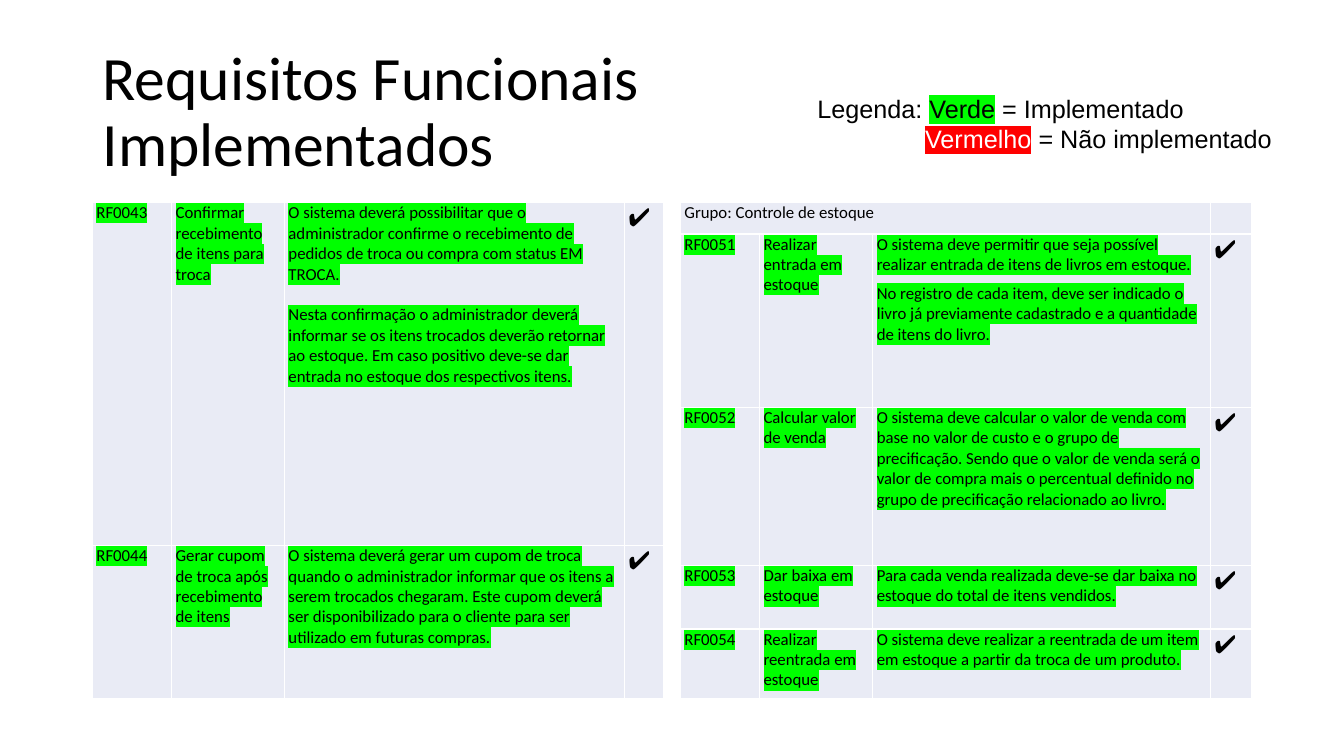
"""Build the slide of implemented functional requirements."""
from lxml.etree import SubElement
from pptx import Presentation
from pptx.dml.color import RGBColor
from pptx.enum.text import MSO_ANCHOR, PP_ALIGN
from pptx.oxml.ns import qn
from pptx.util import Pt

COLORS = {"black": "000000", "white": "FFFFFF", "green": "00FF00", "red": "FF0000", "cell": "E9EBF5"}
CHECK = "✔"


def style(paragraph, size, name, space_after=0):
    paragraph.font.size = Pt(size)
    paragraph.font.name = name
    paragraph.font.color.rgb = RGBColor.from_string(COLORS["black"])
    paragraph.space_after = Pt(space_after)


def add_run(paragraph, text, highlight=None):
    run = paragraph.add_run()
    run.text = text
    if highlight:
        mark = SubElement(run.font._element, qn("a:highlight"))
        SubElement(mark, qn("a:srgbClr"), val=COLORS[highlight])
    return run


presentation = Presentation()
presentation.slide_width, presentation.slide_height = Pt(960), Pt(540)
slide = presentation.slides.add_slide(presentation.slide_layouts[6])

title = slide.shapes.add_textbox(Pt(66.2), Pt(28.8), Pt(828), Pt(104.4)).text_frame
title.word_wrap = True
title.vertical_anchor = MSO_ANCHOR.MIDDLE
paragraph = title.paragraphs[0]
paragraph.line_spacing = 0.9
style(paragraph, 44, "Calibri")
add_run(paragraph, "Requisitos Funcionais")
paragraph.add_line_break()
add_run(paragraph, "Implementados")

legend = slide.shapes.add_textbox(Pt(576.7), Pt(41), Pt(347.8), Pt(94.3)).text_frame
legend.word_wrap = True
legend.margin_top = Pt(25.5)
legend_lines = [
    ("Legenda: ", "Verde", "green", "black", " = Implementado", 0),
    ("", "Vermelho", "red", "white", " = Não implementado", 77),
]
for index, (label, word, highlight, color, meaning, indent) in enumerate(legend_lines):
    paragraph = legend.add_paragraph() if index else legend.paragraphs[0]
    paragraph.alignment = PP_ALIGN.JUSTIFY
    paragraph._p.get_or_add_pPr().set("marL", str(Pt(indent)))
    style(paragraph, 18, "Arial")
    if label:
        add_run(paragraph, label)
    run = add_run(paragraph, word, highlight)
    run.font.color.rgb = RGBColor.from_string(COLORS[color])
    add_run(paragraph, meaning)

exchange_rows = [
    ("RF0043", "Confirmar recebimento de itens para troca", [
        "O sistema deverá possibilitar que o administrador confirme o recebimento de pedidos de troca "
        "ou compra com status EM TROCA.",
        "Nesta confirmação o administrador deverá informar se os itens trocados deverão retornar ao "
        "estoque. Em caso positivo deve-se dar entrada no estoque dos respectivos itens."]),
    ("RF0044", "Gerar cupom de troca após recebimento de itens", [
        "O sistema deverá gerar um cupom de troca quando o administrador informar que os itens a serem "
        "trocados chegaram. Este cupom deverá ser disponibilizado para o cliente para ser utilizado em "
        "futuras compras."]),
]
stock_rows = [
    ("Grupo: Controle de estoque", "", []),
    ("RF0051", "Realizar entrada em estoque", [
        "O sistema deve permitir que seja possível realizar entrada de itens de livros em estoque.",
        "No registro de cada item, deve ser indicado o livro já previamente cadastrado e a quantidade "
        "de itens do livro."]),
    ("RF0052", "Calcular valor de venda", [
        "O sistema deve calcular o valor de venda com base no valor de custo e o grupo de precificação. "
        "Sendo que o valor de venda será o valor de compra mais o percentual definido no grupo de "
        "precificação relacionado ao livro."]),
    ("RF0053", "Dar baixa em estoque", [
        "Para cada venda realizada deve-se dar baixa no estoque do total de itens vendidos."]),
    ("RF0054", "Realizar reentrada em estoque", [
        "O sistema deve realizar a reentrada de um item em estoque a partir da troca de um produto."]),
]
tables = [
    (66, [56.6, 80.6, 242.8, 28.1], [244.8, 109.4], exchange_rows, 0, 14.3),
    (486, [56.5, 80.9, 241.2, 29.5], [22.3, 123.8, 113, 45.4, 49.7], stock_rows, 6, 0),
]
for left, widths, heights, rows, space_after, gap in tables:
    table = slide.shapes.add_table(len(rows), 4, Pt(left), Pt(144.9), Pt(sum(widths)), Pt(sum(heights))).table
    table.first_row = table.horz_banding = False
    for column, width in zip(table.columns, widths):
        column.width = Pt(width)
    for row, height, (code, name, description) in zip(table.rows, heights, rows):
        row.height = Pt(height)
        is_group = not description
        contents = [[code], [name], description or [""], ["" if is_group else CHECK]]
        for column_index, (cell, texts) in enumerate(zip(row.cells, contents)):
            cell.margin_left = cell.margin_right = Pt(2.9)
            cell.margin_top = cell.margin_bottom = 0
            for side in ("lnL", "lnR", "lnT", "lnB"):
                border = SubElement(cell._tc.get_or_add_tcPr(), qn(f"a:{side}"), w=str(Pt(1)))
                SubElement(SubElement(border, qn("a:solidFill")), qn("a:srgbClr"), val=COLORS["white"])
            cell.fill.solid()
            cell.fill.fore_color.rgb = RGBColor.from_string(COLORS["cell"])
            for index, text in enumerate(texts):
                paragraph = cell.text_frame.add_paragraph() if index else cell.text_frame.paragraphs[0]
                paragraph.space_before = Pt(gap if index else 0)
                spaced = is_group or column_index > 1
                style(paragraph, 18 if text == CHECK else 12, "Calibri", space_after if spaced else 0)
                if text:
                    add_run(paragraph, text, None if is_group or text == CHECK else "green")
        if is_group:
            row.cells[0].merge(row.cells[2])

presentation.save("out.pptx")
